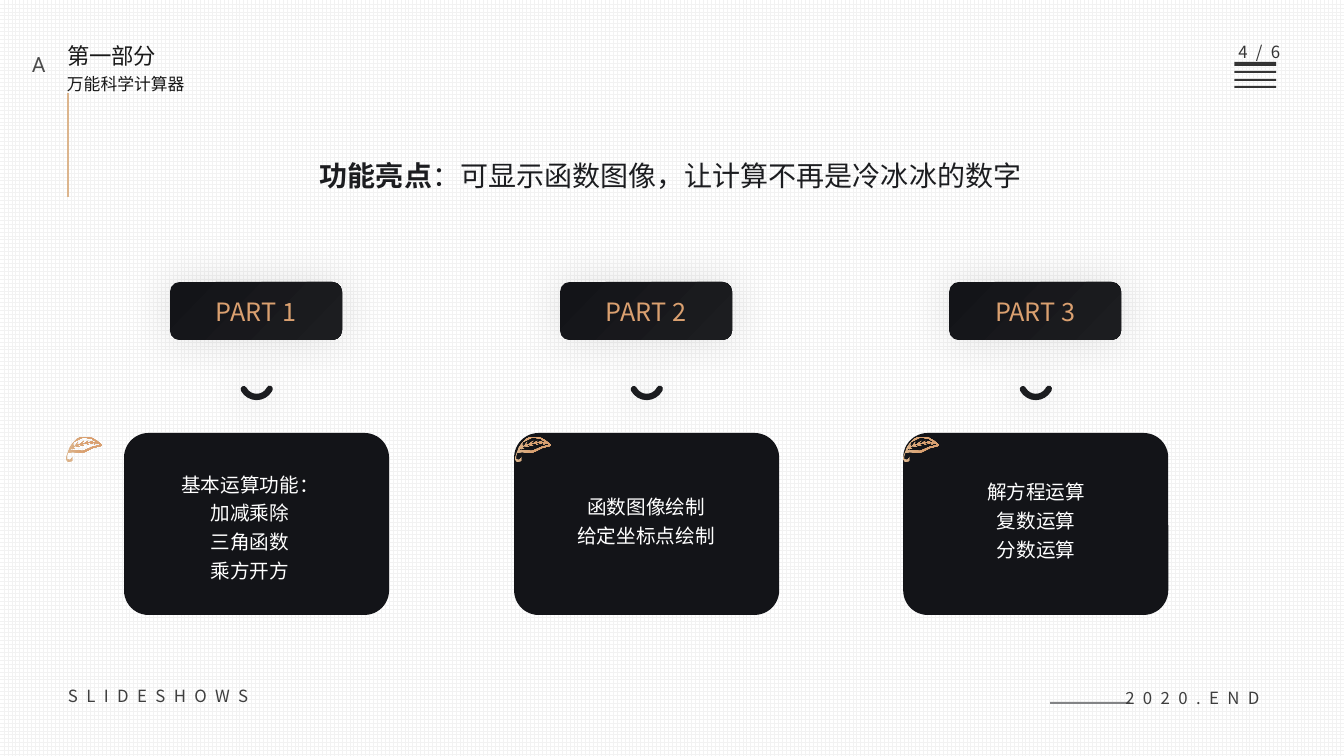
from dataclasses import dataclass

from lxml.etree import SubElement
from pptx import Presentation
from pptx.dml.color import RGBColor
from pptx.enum.dml import MSO_PATTERN
from pptx.enum.shapes import MSO_CONNECTOR, MSO_SHAPE
from pptx.enum.text import MSO_ANCHOR, MSO_AUTO_SIZE, PP_ALIGN
from pptx.oxml.ns import qn
from pptx.util import Inches, Pt

SCALE = Inches(1) / 100.8  # EMU in one px


@dataclass(frozen=True)
class Theme:
    sans: str = "Noto Sans CJK SC"
    label: str = "Noto Sans CJK JP"
    letter: str = "Roboto"
    white: str = "FFFFFF"
    grid: str = "F2F2F2"
    black: str = "131418"
    ink: str = "1C1D20"
    heading: str = "191919"
    dark: str = "343434"
    footer: str = "3E3E3E"
    grey: str = "4C4C4C"
    rule: str = "838486"
    gold: str = "DCB58D"
    gold_text: tuple = ((0, "DCB58D"), (35, "DAA070"), (100, "E6C3A0"))
    gold_leaf: tuple = ((0, "DCB58D"), (50, "DAA070"), (100, "DAA070"))
    tag_fill: tuple = ((0, "131418"), (100, "1C1D20"))
    title_size: int = 20
    tag_size: int = 18
    section_size: int = 16
    letter_size: int = 15
    body_size: int = 14
    small_size: int = 12


THEME = Theme()

# Leaf contours in px: outline, upper blade, lower blade
LEAF = (
    ((8, 21), (8, 22), (6, 24), (3, 23), (3, 20), (4, 17), (9, 16), (15, 17), (21, 16),
     (29, 12), (37, 10), (38, 9), (33, 5), (28, 2), (23, 1), (17, 1), (13, 3), (9, 7),
     (6, 11), (4, 16), (2, 21), (2, 24), (4, 26), (8, 25)),
    ((18, 2), (23, 2), (28, 3), (35, 8), (31, 7), (32, 6), (30, 7), (27, 6), (29, 5),
     (26, 6), (22, 7), (24, 5), (21, 7), (17, 8), (20, 5), (16, 8), (12, 9), (14, 6),
     (11, 10), (8, 11), (10, 9), (9, 9), (7, 12), (5, 14), (10, 6)),
    ((6, 14), (7, 13), (11, 13), (9, 12), (11, 10), (16, 11), (13, 9), (16, 9), (20, 10),
     (18, 8), (21, 7), (25, 9), (23, 7), (26, 7), (29, 8), (28, 7), (30, 7), (31, 9),
     (31, 7), (35, 8), (36, 9), (28, 11), (19, 15), (8, 14), (5, 15)),
)

# Column left, leaf offset, text box offset and top, tag, lines
COLUMNS = (
    (124, -60, 10, 467, "PART 1", ("基本运算功能：", "加减乘除", "三角函数", "乘方开方")),
    (514, -1, 16, 490, "PART 2", ("函数图像绘制", "给定坐标点绘制")),
    (903, -2, 17, 475, "PART 3", ("解方程运算", "复数运算", "分数运算")),
)


def px(length):
    return round(length * SCALE)


def rgb(color):
    return RGBColor.from_string(color)


def paint(fill, owner, color, angle=0):
    """Fill with one colour, or with gradient stops at a clockwise angle."""
    if isinstance(color, str):
        fill.solid()
        fill.fore_color.rgb = rgb(color)
        return
    fill.gradient()
    fill.gradient_angle = (360 - angle) % 360
    stops = next(owner.iter(qn("a:gsLst")))
    for stop in list(stops):
        stops.remove(stop)
    for position, value in color:
        stop = SubElement(stops, qn("a:gs"), pos=str(position * 1000))
        SubElement(stop, qn("a:srgbClr"), val=value)


def write(shape, lines, size, color, font=THEME.label, align=PP_ALIGN.LEFT,
          spacing=1.0, tracking=0, anchor=MSO_ANCHOR.TOP, right=0):
    """Write lines; a line is a string or a tuple of (text, bold) runs."""
    frame = shape.text_frame
    frame.word_wrap, frame.auto_size = True, MSO_AUTO_SIZE.NONE
    frame.vertical_anchor = anchor
    frame.margin_left = frame.margin_top = frame.margin_bottom = 0
    frame.margin_right = px(right)
    for number, line in enumerate(lines):
        paragraph = frame.add_paragraph() if number else frame.paragraphs[0]
        properties = paragraph._p.get_or_add_pPr()
        properties.set("marL", "0")
        properties.set("indent", "0")
        SubElement(properties, qn("a:buNone"))
        paragraph.alignment, paragraph.line_spacing = align, spacing
        paragraph.space_before = paragraph.space_after = Pt(0)
        for text, bold in ((line, False),) if isinstance(line, str) else line:
            run = paragraph.add_run()
            run.text = text
            run.font.size, run.font.bold, run.font.name = Pt(size), bold, font
            paint(run.font.fill, run._r, color, 44)
            run_properties = run._r.get_or_add_rPr()
            SubElement(run_properties, qn("a:ea"), typeface=font)
            if tracking:
                run_properties.set("spc", str(tracking * 100))


def place(shape, box):
    """Put a placeholder in its box, in front of what is drawn so far."""
    shape.left, shape.top, shape.width, shape.height = map(px, box)
    element = shape._element
    element.getparent().append(element)
    return shape


def add_text(slide, box, lines, **text_format):
    write(slide.shapes.add_textbox(*map(px, box)), lines, **text_format)


def add_block(slide, kind, box, color=None, shadow=None):
    shape = slide.shapes.add_shape(kind, *map(px, box))
    shape.shadow.inherit = False
    shape.line.fill.background()
    if color:
        paint(shape.fill, shape._element, color, 44)
    else:
        shape.fill.background()
    if shadow:
        shadow_color, opacity = shadow
        effects = shape._element.spPr.find(qn("a:effectLst"))
        outer = SubElement(effects, qn("a:outerShdw"), blurRad=str(Pt(30)), dist="0",
                           dir="0", algn="ctr", rotWithShape="0")
        tone = SubElement(outer, qn("a:srgbClr"), val=shadow_color)
        SubElement(tone, qn("a:alpha"), val=str(opacity * 1000))
    return shape


def add_leaf(slide, left, top):
    builder = slide.shapes.build_freeform(*LEAF[0][0], scale=SCALE)
    for contour in LEAF:
        builder.move_to(*contour[0])
        builder.add_line_segments(contour[1:], close=True)
    leaf = builder.convert_to_shape(px(left), px(top))
    leaf.shadow.inherit = False
    leaf.line.fill.background()
    paint(leaf.fill, leaf._element, THEME.gold_leaf)


def add_header(slide, section):
    # Section letter, name and rule
    add_text(slide, (32, 39, 15, 33), ["A"], size=THEME.letter_size, color=THEME.grey,
             font=THEME.letter, spacing=1.5, tracking=3)
    place(section, (67, 38, 297, 52))
    write(section, ["第一部分"], THEME.section_size, THEME.heading, spacing=1.14, right=10)
    add_text(slide, (67, 71, 297, 24), ["万能科学计算器"], size=THEME.small_size,
             color=THEME.heading, spacing=1.14)
    line = slide.shapes.add_connector(MSO_CONNECTOR.STRAIGHT, px(68), px(93), px(68), px(197))
    line.line.color.rgb, line.line.width = rgb(THEME.gold), Pt(1)
    SubElement(line._element.spPr, qn("a:effectLst"))
    # Page number over the menu bars
    add_text(slide, (1232, 32, 64, 27), ["4/6"], size=THEME.small_size, color=THEME.dark,
             align=PP_ALIGN.CENTER, spacing=1.5, tracking=6, right=10)
    for top, height in ((62, 4), (71, 2), (79, 2), (86, 2)):
        add_block(slide, MSO_SHAPE.RECTANGLE, (1234, top, 42, height), THEME.dark)


def add_column(slide, body, left, leaf, indent, text_top, tag, lines):
    label = add_block(slide, MSO_SHAPE.ROUNDED_RECTANGLE, (left + 46, 282, 172, 58),
                      THEME.tag_fill, (THEME.dark, 12))
    write(label, [tag], THEME.tag_size, THEME.gold_text, align=PP_ALIGN.CENTER,
          anchor=MSO_ANCHOR.MIDDLE)
    # Smile-shaped arc between tag and card
    arc = add_block(slide, MSO_SHAPE.ARC, (left + 118, 368, 29, 29), shadow=("000000", 20))
    arc.rotation = 90
    arc.adjustments[0], arc.adjustments[1] = 177.38, 37.63
    arc.line.color.rgb, arc.line.width = rgb(THEME.ink), Pt(4.5)
    arc.line._get_or_add_ln().set("cap", "rnd")
    # Card with its leaf and list
    card = add_block(slide, MSO_SHAPE.ROUNDED_RECTANGLE, (left, 433, 265, 182), THEME.black)
    card.adjustments[0] = 0.135
    add_leaf(slide, left + leaf, 436)
    place(body, (left + indent, text_top, 232, 29 * len(lines)))
    write(body, lines, THEME.body_size, THEME.white, THEME.sans, PP_ALIGN.CENTER, 1.23)


def add_footer(slide):
    add_block(slide, MSO_SHAPE.RECTANGLE, (1050, 702, 80, 2), THEME.rule)
    for left, top, width, text in ((68, 676, 255, "SLIDESHOWS"), (1125, 678, 171, "2020.END")):
        add_text(slide, (left, top, width, 36), [text], size=THEME.small_size,
                 color=THEME.footer, spacing=1.5, tracking=6, right=10)


def add_feature_slide(presentation):
    slide = presentation.slides.add_slide(presentation.slide_layouts[4])
    background = slide.background.fill
    background.patterned()
    background.pattern = MSO_PATTERN.LARGE_GRID
    background.fore_color.rgb, background.back_color.rgb = rgb(THEME.grid), rgb(THEME.white)
    title, section, *bodies = list(slide.placeholders)
    place(title, (275, 151, 791, 38))
    write(title, [(("功能亮点", True), ("：可显示函数图像，让计算不再是冷冰冰的数字", False))],
          THEME.title_size, THEME.ink, THEME.sans, PP_ALIGN.CENTER, 1.23)
    for body, column in zip(bodies, COLUMNS):
        add_column(slide, body, *column)
    add_header(slide, section)
    add_footer(slide)


def main():
    presentation = Presentation()
    presentation.slide_width, presentation.slide_height = Inches(13.33), Inches(7.5)
    add_feature_slide(presentation)
    presentation.save("out.pptx")


if __name__ == "__main__":
    main()
